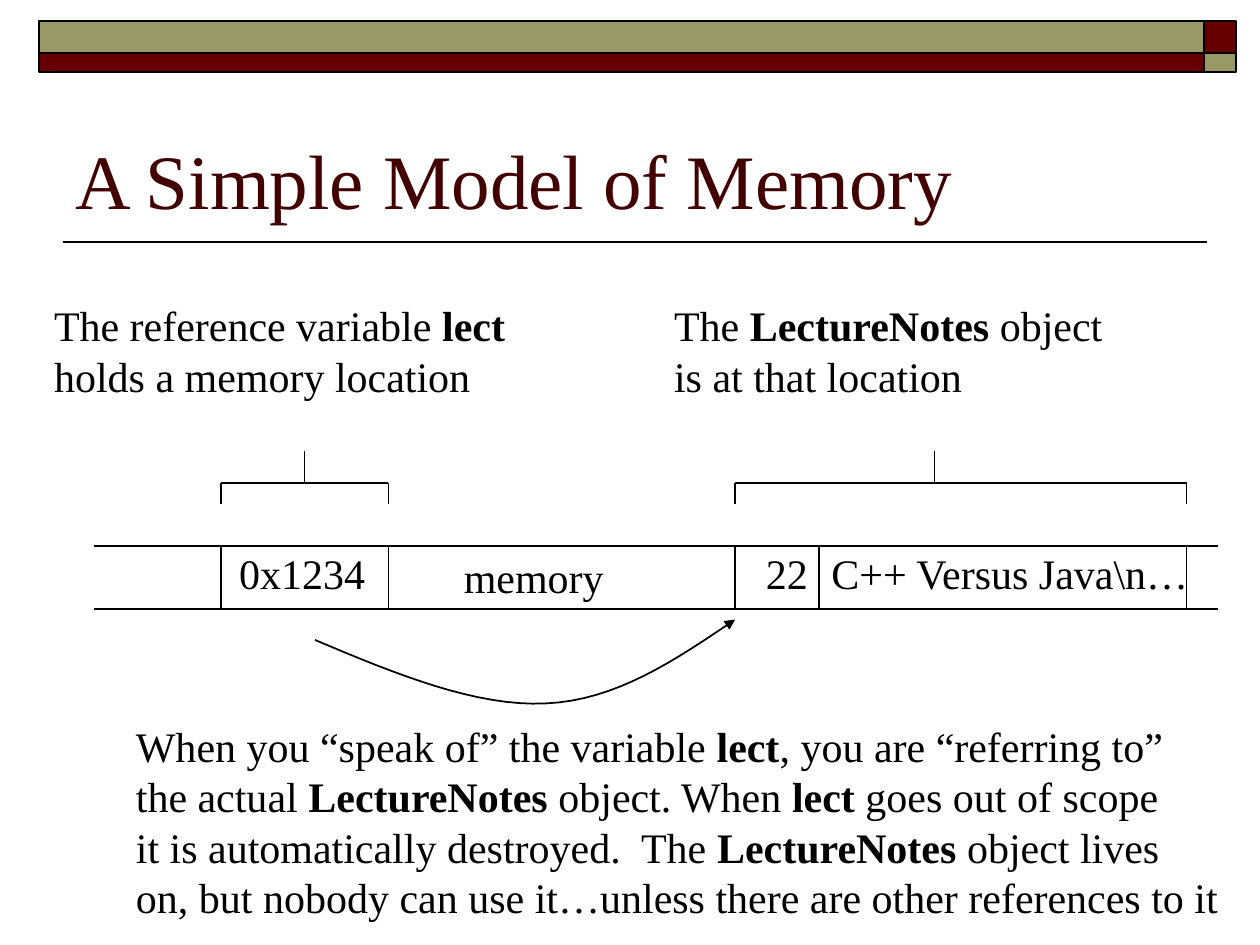
from lxml import etree
from pptx import Presentation
from pptx import util as u
from pptx.dml.color import RGBColor
from pptx.enum import shapes, text
from pptx.oxml.ns import qn

BLACK = RGBColor(0x00, 0x00, 0x00)
TITLE_RED = RGBColor(0x42, 0x00, 0x00)
MAROON = RGBColor(0x66, 0x00, 0x00)
OLIVE = RGBColor(0x99, 0x99, 0x66)


class Canvas:
    """Draws on one page in one style; all lengths are in centimetres."""

    font_name = "Times New Roman"
    line_width = u.Pt(1)

    def __init__(self, page):
        self.page = page

    def outline(self, shape):
        shape.line.color.rgb = BLACK
        shape.line.width = self.line_width

    def line(self, x1, y1, x2, y2):
        line = self.page.shapes.add_connector(
            shapes.MSO_CONNECTOR.STRAIGHT, u.Cm(x1), u.Cm(y1), u.Cm(x2), u.Cm(y2))
        self.outline(line)
        etree.SubElement(line._element.spPr, qn("a:effectLst"))

    def block(self, left, top, right, bottom, color):
        block = self.page.shapes.add_shape(
            shapes.MSO_SHAPE.RECTANGLE, u.Cm(left), u.Cm(top),
            u.Cm(right - left), u.Cm(bottom - top))
        block.shadow.inherit = False
        block.fill.solid()
        block.fill.fore_color.rgb = color
        self.outline(block)

    def label(self, left, top, width, height, lines, size=24, color=BLACK,
              wrap=False, anchor=text.MSO_ANCHOR.TOP):
        """Text between asterisks is bold."""
        box = self.page.shapes.add_textbox(
            u.Cm(left), u.Cm(top), u.Cm(width), u.Cm(height))
        frame = box.text_frame
        frame.word_wrap = wrap
        frame.vertical_anchor = anchor
        if not wrap:
            frame.auto_size = text.MSO_AUTO_SIZE.SHAPE_TO_FIT_TEXT
        for number, line in enumerate(lines):
            para = frame.add_paragraph() if number else frame.paragraphs[0]
            para.font.name = self.font_name
            para.font.size = u.Pt(size)
            para.font.color.rgb = color
            for index, part in enumerate(line.split("*")):
                if part:
                    span = para.add_run()
                    span.text = part
                    if index % 2:
                        span.font.bold = True

    def bracket(self, left, right, stem):
        self.line(left, 9.74, right, 9.74)
        for x in (left, right):
            self.line(x, 9.74, x, 10.16)
        self.line(stem, 9.1, stem, 9.74)

    def curved_arrow(self, start, curves, steps=16):
        """Follows cubic curves, each given as two controls and an end."""
        points = []
        origin = start
        for curve in curves:
            for step in range(1, steps + 1):
                t = step / steps
                weights = ((1 - t) ** 3, 3 * t * (1 - t) ** 2, 3 * t * t * (1 - t), t ** 3)
                controls = (origin, *curve)
                points.append(tuple(
                    u.Cm(sum(w * c[axis] for w, c in zip(weights, controls)))
                    for axis in (0, 1)))
            origin = curve[-1]
        builder = self.page.shapes.build_freeform(u.Cm(start[0]), u.Cm(start[1]))
        builder.add_line_segments(points, close=False)
        arrow = builder.convert_to_shape()
        arrow.shadow.inherit = False
        arrow.fill.background()
        self.outline(arrow)
        etree.SubElement(arrow.line._get_or_add_ln(), qn("a:tailEnd"), type="triangle")


def main():
    deck = Presentation()
    deck.slide_width, deck.slide_height = u.Cm(25.4), u.Cm(19.05)
    canvas = Canvas(deck.slides.add_slide(deck.slide_layouts[6]))

    # Header band and title
    columns, rows = (0.79, 24.28, 24.92), (0.43, 1.07, 1.45)
    for row in range(2):
        for column in range(2):
            canvas.block(columns[column], rows[row], columns[column + 1], rows[row + 1],
                         OLIVE if row == column else MAROON)
    canvas.line(1.27, 4.88, 24.33, 4.88)
    canvas.label(1.27, 1.47, 22.86, 3.18, ["A Simple Model of Memory"], size=44,
                 color=TITLE_RED, wrap=True, anchor=text.MSO_ANCHOR.BOTTOM)

    # Memory strip
    top, bottom = 11, 12.27
    ref_left, ref_right, obj_left, obj_split, obj_right = 4.45, 7.83, 14.82, 16.51, 23.92
    for y in (top, bottom):
        canvas.line(1.9, y, 24.55, y)
    for x in (ref_left, ref_right, obj_left, obj_split, obj_right):
        canvas.line(x, top, x, bottom)
    for left, label_top, width, words in (
            (4.57, 10.92, 3.05, "0x1234"), (9.1, 11, 3.33, "memory"),
            (15.19, 10.92, 1.35, "22"), (16.51, 10.92, 7.8, "C++ Versus Java\\n…")):
        canvas.label(left, label_top, width, 1.27, [words])

    # Captions and brackets
    canvas.label(0.84, 5.92, 9.6, 2.29,
                 ["The reference variable *lect*", "holds a memory location"])
    canvas.label(13.34, 5.92, 9.14, 2.29,
                 ["The *LectureNotes* object", "is at that location"])
    canvas.bracket(ref_left, ref_right, 6.14)
    canvas.bracket(obj_left, obj_right, 18.84)

    # Arrow from the reference to the object
    canvas.curved_arrow((6.35, 12.9), [
        ((7.98, 13.59), (9.6, 14.25), (11, 14.18)),
        ((12.42, 14.12), (13.61, 13.31), (14.82, 12.49))])

    # Explanation
    canvas.label(2.49, 14.4, 22.33, 4.32, [
        "When you “speak of” the variable *lect*, you are “referring to”",
        "the actual *LectureNotes* object. When *lect* goes out of scope",
        "it is automatically destroyed.  The *LectureNotes* object lives",
        "on, but nobody can use it…unless there are other references to it"])

    deck.save("out.pptx")


if __name__ == "__main__":
    main()
